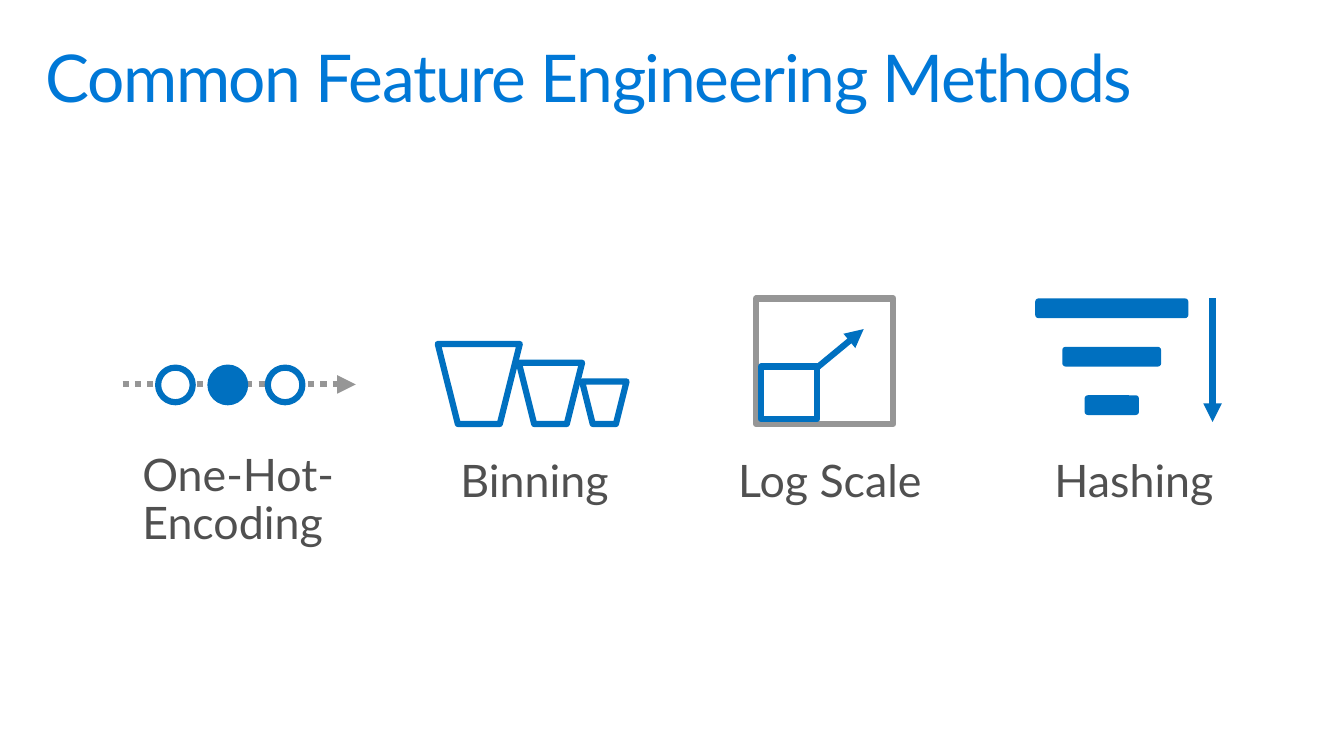
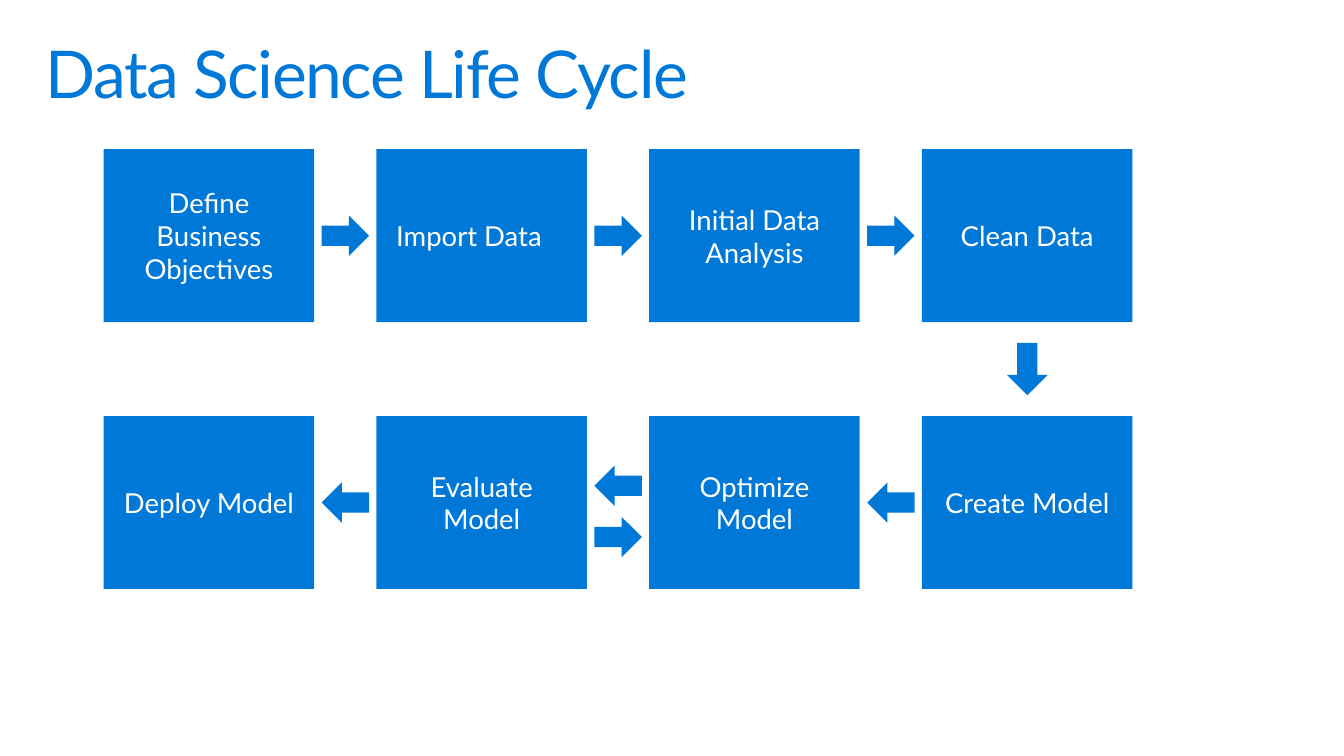
import pptx
import pptx.dml.color
import pptx.enum.dml
import pptx.enum.shapes
import pptx.enum.text
import pptx.oxml
import pptx.oxml.ns
import pptx.util

Inches = pptx.util.Inches
Pt = pptx.util.Pt
SHAPE = pptx.enum.shapes.MSO_SHAPE
ALIGN = pptx.enum.text.PP_ALIGN
ANCHOR = pptx.enum.text.MSO_ANCHOR
AUTO = pptx.enum.text.MSO_AUTO_SIZE

FONT = "Lato"
TITLE_BLUE, ICON_BLUE = "0078D7", "0070C0"
GRAY, TEXT_GRAY, WHITE = "969696", "505050", "FFFFFF"
ICON_LINE = 4.5

LABELS = [
    ("One-Hot-Encoding", 1.24, 4.42, 2.35, 1.32),
    ("Binning", 4.46, 4.48, 1.97, 0.83),
    ("Log Scale", 7.27, 4.48, 2.34, 0.83),
    ("Hashing", 10.47, 4.48, 2.14, 0.83),
]
CIRCLES = [(1.6, WHITE), (2.13, ICON_BLUE), (2.71, WHITE)]
BUCKETS = [(4.43, 0.83, 0.81), (5.25, 0.64, 0.62), (5.89, 0.45, 0.43)]
BUCKET_BOTTOM = 4.29
SCALE_SQUARES = [
    (7.65, 3.02, 1.39, 1.27, GRAY),
    (7.7, 3.71, 0.57, 0.53, ICON_BLUE),
]
HASH_WIDTHS = [1.55, 1, 0.55]
HASH_CENTER, HASH_TOP, HASH_STEP = 11.25, 3.02, 0.49

STEPS = [
    ["Define Business Objectives", "Import Data", "Initial Data Analysis", "Clean Data"],
    ["Deploy Model", "Evaluate Model", "Optimize Model", "Create Model"],
]
LEFT_ALIGNED = {"Import Data"}
STEP_LEFT, STEP_PITCH, STEP_W, STEP_H = 1.05, 2.76, 2.13, 1.75
ROW_TOPS = [1.51, 4.21]
ARROW_W, ARROW_H, DOWN_ARROW_W = 0.48, 0.41, 0.53
ROW_ARROWS = [
    [[(0, 0)], [(0, 0)], [(0, 0)]],
    [[(0, 180)], [(-0.17, 180), (0.35, 0)], [(0, 180)]],
]


def color(value):
    return pptx.dml.color.RGBColor.from_string(value)


def add_text(tf, text, size, hex_color, align=ALIGN.LEFT, anchor=ANCHOR.TOP, margins=(0.2, 0.16)):
    tf.word_wrap = True
    tf.vertical_anchor = anchor
    tf.margin_left = tf.margin_right = Inches(margins[0])
    tf.margin_top = tf.margin_bottom = Inches(margins[1])
    p = tf.paragraphs[0]
    p.alignment = align
    r = p.add_run()
    r.text = text
    r.font.size = Pt(size)
    r.font.name = FONT
    r.font.color.rgb = color(hex_color)
    return p, r


def add_slide(prs, title, top):
    s = prs.slides.add_slide(prs.slide_layouts[5])
    sp = s.shapes.title
    sp.left, sp.top, sp.width, sp.height = Inches(0.3), Inches(top), Inches(13), Inches(1)
    sp.text_frame.auto_size = AUTO.NONE
    p, r = add_text(sp.text_frame, title, 48, TITLE_BLUE, margins=(0.16, 0.1))
    p.line_spacing = 0.9
    r.font._element.set("spc", "-100")
    return s


def add_shape(s, kind, left, top, width, height, fill, line=None, rotation=0):
    sp = s.shapes.add_shape(kind, Inches(left), Inches(top), Inches(width), Inches(height))
    sp.shadow.inherit = False
    sp.rotation = rotation
    sp.fill.solid()
    sp.fill.fore_color.rgb = color(fill)
    if line:
        sp.line.color.rgb = color(line)
        sp.line.width = Pt(ICON_LINE)
    else:
        sp.line.fill.background()
    return sp


def add_arrow_line(s, x1, y1, x2, y2, hex_color, dash=None):
    c = s.shapes.add_connector(
        pptx.enum.shapes.MSO_CONNECTOR.STRAIGHT, Inches(x1), Inches(y1), Inches(x2), Inches(y2)
    )
    c.line.color.rgb = color(hex_color)
    c.line.width = Pt(ICON_LINE)
    if dash:
        c.line.dash_style = dash
    tail = pptx.oxml.parse_xml(
        '<a:tailEnd %s type="triangle"/>' % pptx.oxml.ns.nsdecls("a")
    )
    c.line._get_or_add_ln().append(tail)
    effects = pptx.oxml.parse_xml("<a:effectLst %s/>" % pptx.oxml.ns.nsdecls("a"))
    c._element.spPr.append(effects)


def add_label(s, text, left, top, width, height):
    sp = s.shapes.add_textbox(Inches(left), Inches(top), Inches(width), Inches(height))
    sp.text_frame.auto_size = AUTO.SHAPE_TO_FIT_TEXT
    p, r = add_text(sp.text_frame, text, 32.6, TEXT_GRAY)
    p.line_spacing = 0.9
    p.space_after = Pt(6.1)


def build_methods(prs):
    s = add_slide(prs, "Common Feature Engineering Methods", 0.36)
    for label in LABELS:
        add_label(s, *label)

    add_arrow_line(s, 1.24, 3.89, 3.6, 3.89, GRAY, pptx.enum.dml.MSO_LINE.ROUND_DOT)
    for left, fill in CIRCLES:
        add_shape(s, SHAPE.OVAL, left, 3.72, 0.35, 0.35, fill, ICON_BLUE)

    for left, width, height in BUCKETS:
        add_shape(s, SHAPE.TRAPEZOID, left, BUCKET_BOTTOM - height, width, height,
                  WHITE, ICON_BLUE, 180)

    for left, top, width, height, line in SCALE_SQUARES:
        add_shape(s, SHAPE.RECTANGLE, left, top, width, height, WHITE, line)
    add_arrow_line(s, 8.28, 3.71, 8.74, 3.33, ICON_BLUE)

    for i, width in enumerate(HASH_WIDTHS):
        add_shape(s, SHAPE.FLOWCHART_ALTERNATE_PROCESS, HASH_CENTER - width / 2,
                  HASH_TOP + i * HASH_STEP, width, 0.2, ICON_BLUE)
    add_arrow_line(s, 12.27, 3.02, 12.27, 4.27, ICON_BLUE)


def add_block_arrow(s, center_x, center_y, width, rotation):
    add_shape(s, SHAPE.RIGHT_ARROW, center_x - width / 2, center_y - ARROW_H / 2,
              width, ARROW_H, TITLE_BLUE, rotation=rotation)


def build_life_cycle(prs):
    s = add_slide(prs, "Data Science Life Cycle", 0.32)
    gap = STEP_PITCH - STEP_W
    for top, names, arrows in zip(ROW_TOPS, STEPS, ROW_ARROWS):
        for col, name in enumerate(names):
            left = STEP_LEFT + col * STEP_PITCH
            sp = add_shape(s, SHAPE.RECTANGLE, left, top, STEP_W, STEP_H, TITLE_BLUE)
            align = ALIGN.LEFT if name in LEFT_ALIGNED else ALIGN.CENTER
            add_text(sp.text_frame, name, 20, WHITE, align, ANCHOR.MIDDLE)
        for col, group in enumerate(arrows):
            center_x = STEP_LEFT + col * STEP_PITCH + STEP_W + gap / 2
            for shift, rotation in group:
                add_block_arrow(s, center_x, top + STEP_H / 2 + shift, ARROW_W, rotation)
    last_center = STEP_LEFT + 3 * STEP_PITCH + STEP_W / 2
    between_rows = (ROW_TOPS[0] + STEP_H + ROW_TOPS[1]) / 2
    add_block_arrow(s, last_center, between_rows, DOWN_ARROW_W, 90)


def main():
    prs = pptx.Presentation()
    prs.slide_width, prs.slide_height = Inches(13.6), Inches(7.65)
    build_methods(prs)
    build_life_cycle(prs)
    prs.save("out.pptx")


if __name__ == "__main__":
    main()
